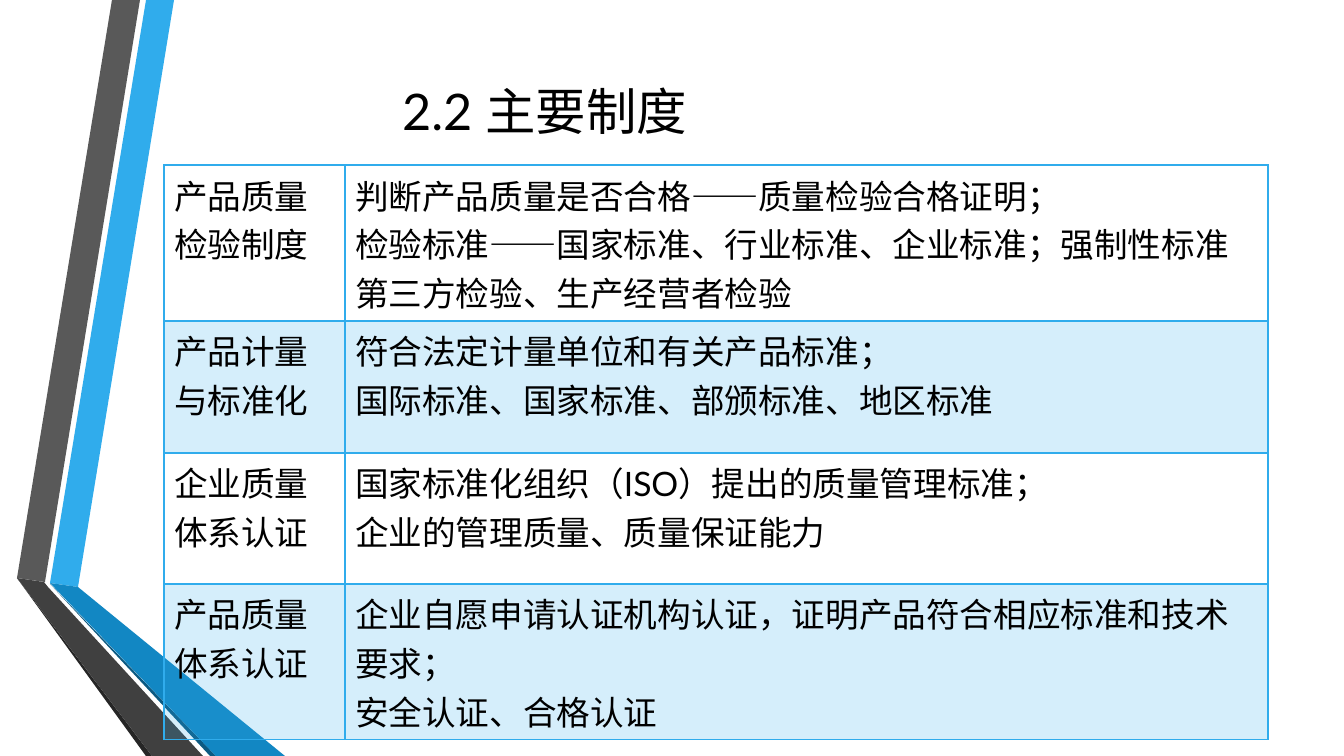
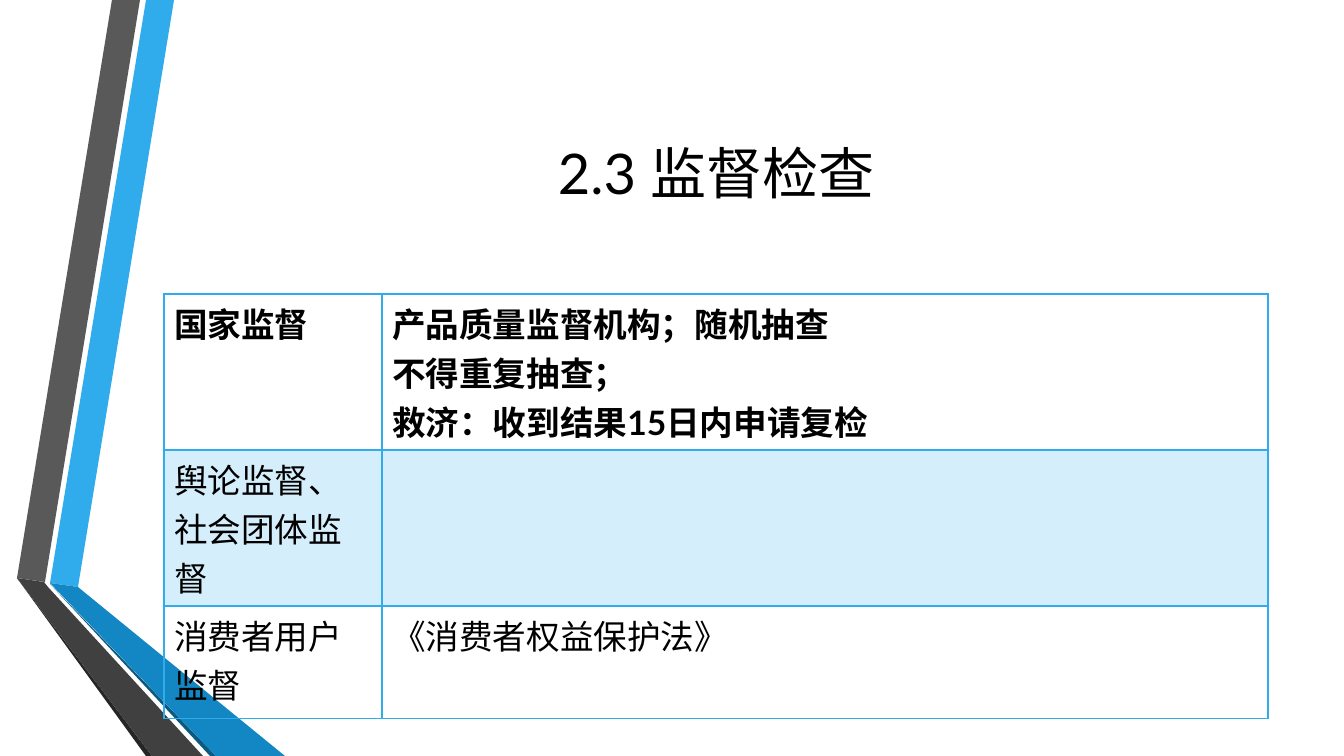
import pptx
import pptx.util
import pptx.dml.color
import pptx.enum.text
import pptx.oxml
import pptx.oxml.ns
import lxml.etree

qn = pptx.oxml.ns.qn
W, H = 1344, 756
EMU_PER_PX = 914400 / 100.8
FONT = "Lato"
COLORS = {
    "text": "000000",
    "accent": "30ACEC",
    "blue": "1287C3",
    "deep_blue": "0C5A82",
    "grey": "595959",
    "dark_grey": "404040",
    "black_grey": "262626",
}
LEFT, CONTENT_W = 164, 1104
TALL_ROW = 156
BANDS = [
    ("accent", [(50, 583), (78, 587), (174, 0), (146, 0)]),
    ("grey", [(140, 0), (112, 0), (17, 578), (45, 582)]),
    ("black_grey", [(17, 578), (146, H), (152, H)]),
    ("deep_blue", [(50, 584), (210, H), (216, H)]),
    ("blue", [(50, 583), (216, H), (285, H), (78, 587)]),
    ("dark_grey", [(203, H), (48, 587), (44, 582), (17, 578), (152, H)]),
]


def px(n):
    """Turn pixels into EMU."""
    return pptx.util.Emu(round(n * EMU_PER_PX))


def rgb(name):
    """Look up a named colour."""
    return pptx.dml.color.RGBColor.from_string(COLORS[name])


def write(tf, lines, size=24, bold=False, align=None, color="text"):
    """Fill a text frame with one paragraph per line."""
    tf.word_wrap = True
    for i, line in enumerate(lines):
        p = tf.paragraphs[0] if i == 0 else tf.add_paragraph()
        p.alignment = align
        r = p.add_run()
        r.text = line
        r.font.name = FONT
        r.font.size = pptx.util.Pt(size)
        r.font.bold = bold
        r.font.color.rgb = rgb(color)


def draw_bands(s):
    """Draw the folded ribbons at the left edge."""
    for color, points in BANDS:
        builder = s.shapes.build_freeform(*points[0], scale=EMU_PER_PX)
        builder.add_line_segments(points[1:], close=True)
        sp = builder.convert_to_shape()
        sp.shadow.inherit = False
        sp.fill.solid()
        sp.fill.fore_color.rgb = rgb(color)
        sp.line.fill.background()


def draw_title(s, box, text, size):
    """Place the centred slide title in its box."""
    sp = s.shapes.add_textbox(*map(px, box))
    sp.text_frame.vertical_anchor = pptx.enum.text.MSO_ANCHOR.MIDDLE
    write(sp.text_frame, [text], size=size,
          align=pptx.enum.text.PP_ALIGN.CENTER)


def set_borders(cell, top=1, bottom=1):
    """Give a cell accent borders; widths are in points."""
    tcPr = cell._tc.get_or_add_tcPr()
    for side, width in (("L", 1), ("R", 1), ("T", top), ("B", bottom)):
        ln = lxml.etree.SubElement(tcPr, qn("a:ln" + side), cmpd="sng",
                                   w=str(pptx.util.Pt(width)))
        fill = lxml.etree.SubElement(ln, qn("a:solidFill"))
        lxml.etree.SubElement(fill, qn("a:srgbClr"), val=COLORS["accent"])


def set_fill(cell, tinted):
    """Tint a cell with the accent at 20% opacity, or leave it clear."""
    if not tinted:
        cell.fill.background()
        return
    cell.fill.solid()
    cell.fill.fore_color.rgb = rgb("accent")
    clr = cell._tc.tcPr.find(qn("a:solidFill")).find(qn("a:srgbClr"))
    lxml.etree.SubElement(clr, qn("a:alpha"), val="20000")


def draw_table(s, box, label_w, rows, bold_head):
    """Draw a label and detail table with every second row tinted."""
    x, y, w = box
    h = sum(row_h for row_h, _, _ in rows)
    table = s.shapes.add_table(len(rows), 2, px(x), px(y), px(w), px(h)).table
    table.first_row = table.horz_banding = False
    table.columns[0].width = px(label_w)
    table.columns[1].width = px(w - label_w)
    for i, (row_h, label, details) in enumerate(rows):
        table.rows[i].height = px(row_h)
        for j, lines in enumerate(([label], details)):
            cell = table.cell(i, j)
            set_borders(cell, top=2 if i == 1 else 1,
                        bottom=2 if i == 0 else 1)
            set_fill(cell, i % 2 == 1)
            write(cell.text_frame, lines, bold=bold_head and i == 0)


def table_slide(prs, title, title_box, title_size, table_box, label_w, rows,
                bold_head=False):
    """Add a slide with ribbons, a title and a table."""
    s = prs.slides.add_slide(prs.slide_layouts[6])
    draw_bands(s)
    draw_title(s, title_box, title, title_size)
    draw_table(s, table_box, label_w, rows, bold_head)


SYSTEMS = [
    (TALL_ROW, "产品质量检验制度",
     ["判断产品质量是否合格——质量检验合格证明；",
      "检验标准——国家标准、行业标准、企业标准；强制性标准",
      "第三方检验、生产经营者检验"]),
    (132, "产品计量与标准化",
     ["符合法定计量单位和有关产品标准；",
      "国际标准、国家标准、部颁标准、地区标准"]),
    (131, "企业质量体系认证",
     ["国家标准化组织（ISO）提出的质量管理标准；",
      "企业的管理质量、质量保证能力"]),
    (TALL_ROW, "产品质量体系认证",
     ["企业自愿申请认证机构认证，证明产品符合相应标准和技术要求；",
      "安全认证、合格认证"]),
]
SUPERVISION = [
    (TALL_ROW, "国家监督",
     ["产品质量监督机构；随机抽查", "不得重复抽查；",
      "救济：收到结果15日内申请复检"]),
    (TALL_ROW, "舆论监督、社会团体监督", []),
    (113, "消费者用户监督", ["《消费者权益保护法》"]),
]

prs = pptx.Presentation()
prs.slide_width, prs.slide_height = px(W), px(H)
table_slide(prs, "2.2 主要制度", (LEFT, 75, 761, 70), 36,
            (LEFT, 165, CONTENT_W), 181, SYSTEMS)
table_slide(prs, "2.3 监督检查", (LEFT, 75, CONTENT_W, 194), 40,
            (LEFT, 294, CONTENT_W), 218, SUPERVISION, bold_head=True)
prs.save("out.pptx")
